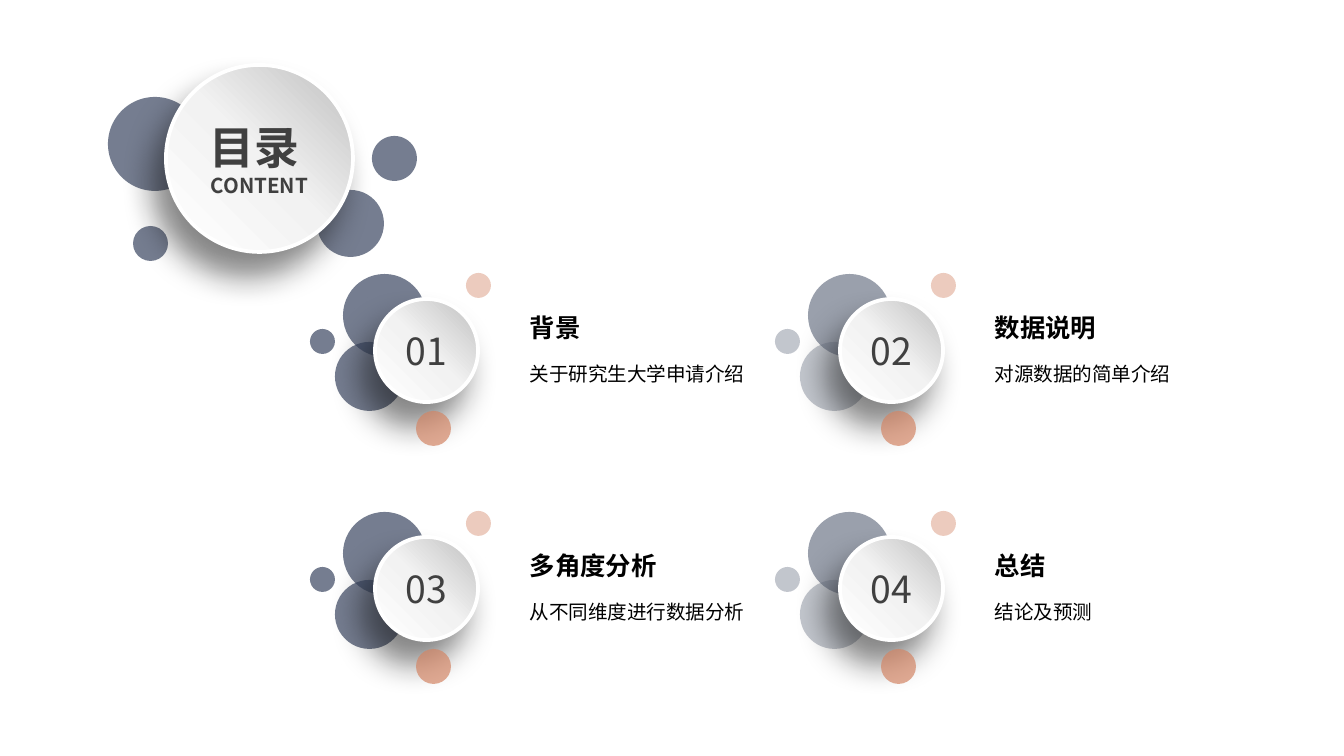
from lxml import etree
from pptx import Presentation
from pptx.dml.color import RGBColor
from pptx.enum.shapes import MSO_SHAPE
from pptx.enum.text import MSO_ANCHOR, PP_ALIGN
from pptx.oxml import parse_xml
from pptx.oxml.ns import qn
from pptx.util import Emu, Pt

OVAL = MSO_SHAPE.OVAL
MIDDLE, BOTTOM = MSO_ANCHOR.MIDDLE, MSO_ANCHOR.BOTTOM
LEFT, CENTER = PP_ALIGN.LEFT, PP_ALIGN.CENTER

FONT = "Noto Sans CJK SC"
NS = 'xmlns:a="http://schemas.openxmlformats.org/drawingml/2006/main"'
NAVY, SLATE, MIST = "3B4761", "70788A", "A9AEB9"
CORAL, PEACH = "D38666", "E5B6A3"
GRAY, BLACK, WHITE = "404040", "000000", "FFFFFF"
STOPS = [(0, "BFBFBF"), (50, "F2F2F2"), (100, WHITE)]

# First item's corner and the steps between items
LEFT_X, TOP_Y, STEP_X, STEP_Y = 310, 273, 465, 238
ITEMS = [
    ("背景", "关于研究生大学申请介绍"),
    ("数据说明", "对源数据的简单介绍"),
    ("多角度分析", "从不同维度进行数据分析"),
    ("总结", "结论及预测"),
]
# Large dot and side dots, by column
TONES = [(NAVY, NAVY), (SLATE, MIST)]


def px(n):
    return Emu(round(n * 914400 / 134.4))


def rgb(code):
    return RGBColor.from_string(code)


def write(shape, lines, color=BLACK, bold=False, align=LEFT, anchor=MIDDLE,
          inset=0, wrap=True, space=None):
    """Put (text, size) lines in one paragraph, parted by line breaks."""
    frame = shape.text_frame
    frame.word_wrap = wrap
    frame.vertical_anchor = anchor
    frame.margin_left = px(inset)
    frame.margin_right = frame.margin_top = frame.margin_bottom = 0
    para = frame.paragraphs[0]
    para.alignment = align
    if space:
        para.line_spacing = space
    for i, (text, size) in enumerate(lines):
        if i:
            para.add_line_break()
        run = para.add_run()
        run.text = text
        font = run.font
        font.name, font.size, font.bold = FONT, Pt(size), bold
        font.color.rgb = rgb(color)
        east = etree.SubElement(font._element, qn("a:ea"))
        east.set("typeface", FONT)


def oval(group, x, y, size):
    shape = group.shapes.add_shape(OVAL, px(x), px(y), px(size), px(size))
    shape.shadow.inherit = False
    return shape


def dot(group, x, y, size, color):
    """Add a plain circle at 70 % opacity."""
    shape = oval(group, x, y, size)
    shape.fill.solid()
    shape.fill.fore_color.rgb = rgb(color)
    shape.line.fill.background()
    tint = shape._element.spPr.find(qn("a:solidFill"))[0]
    etree.SubElement(tint, qn("a:alpha")).set("val", "70000")


def disc(group, x, y, size, lines, bold=False):
    """Add a raised disc with a gradient, a white rim and a soft shadow."""
    shape = oval(group, x, y, size)
    shape.line.color.rgb = rgb(WHITE)
    shape.line.width = Pt(2)
    shape.fill.gradient()
    props = shape._element.spPr
    stops = "".join(
        f'<a:gs pos="{at * 1000}"><a:srgbClr val="{color}"/></a:gs>'
        for at, color in STOPS)
    props.replace(props.find(qn("a:gradFill")), parse_xml(
        f'<a:gradFill {NS} rotWithShape="1"><a:gsLst>{stops}</a:gsLst>'
        f'<a:lin ang="{135 * 60000}" scaled="0"/></a:gradFill>'))
    props.find(qn("a:effectLst")).append(parse_xml(
        f'<a:outerShdw {NS} blurRad="{Pt(17)}" dist="{Pt(14)}" '
        f'dir="{120 * 60000}" algn="ctr" rotWithShape="0">'
        '<a:srgbClr val="0D0D0D"><a:alpha val="50000"/></a:srgbClr>'
        '</a:outerShdw>'))
    write(shape, lines, color=GRAY, bold=bold, align=CENTER)


def label(group, x, y, high, text, size, **style):
    box = group.shapes.add_textbox(px(x), px(y), px(289), px(high))
    write(box, [(text, size)], inset=52, **style)


def item(slide, i, title, note):
    """Add one numbered entry with its cluster of circles."""
    row, col = divmod(i, 2)
    x, y = LEFT_X + col * STEP_X, TOP_Y + row * STEP_Y
    main_tone, side_tone = TONES[col]
    group = slide.shapes.add_group_shape()
    dot(group, x + 25, y + 69, 69, side_tone)
    dot(group, x + 33, y + 1, 83, main_tone)
    disc(group, x + 65, y + 26, 103, [(f"{i + 1:02}", 20)])
    dot(group, x + 106, y + 138, 35, CORAL)
    dot(group, x, y + 56, 25, side_tone)
    dot(group, x + 156, y, 25, PEACH)
    label(group, x + 168, y + 43, 27, title, 13.6,
          bold=True, anchor=BOTTOM, wrap=False)
    label(group, x + 168, y + 70, 56, note, 10.5, space=1.2)


def header(slide):
    group = slide.shapes.add_group_shape()
    for x, y, size in [(133, 226, 35), (317, 190, 67), (108, 97, 94)]:
        dot(group, x, y, size, NAVY)
    disc(group, 166, 65, 187, [("目录 ", 24), ("CONTENT", 11)], bold=True)
    dot(group, 372, 136, 45, NAVY)


def main():
    deck = Presentation()
    deck.slide_width, deck.slide_height = px(1344), px(756)
    slide = deck.slides.add_slide(deck.slide_layouts[6])
    # Entries, down each column in turn
    for i in (0, 2, 1, 3):
        item(slide, i, *ITEMS[i])
    # Heading
    header(slide)
    deck.save("out.pptx")


if __name__ == "__main__":
    main()
